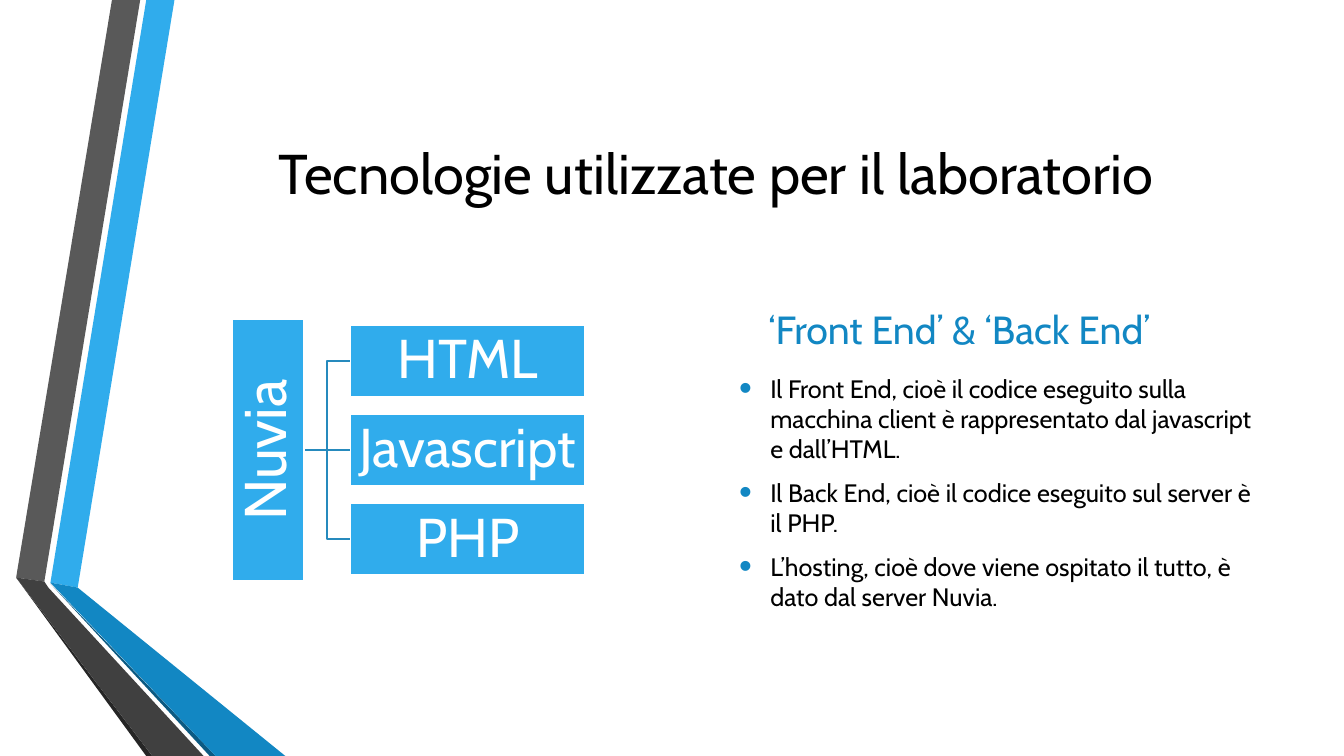
from dataclasses import dataclass

from lxml.etree import SubElement
from pptx import Presentation
from pptx.dml.color import RGBColor
from pptx.enum.shapes import MSO_CONNECTOR, MSO_SHAPE
from pptx.enum.text import MSO_ANCHOR, MSO_AUTO_SIZE, PP_ALIGN
from pptx.oxml.ns import qn
from pptx.util import Inches, Pt

FONT = "Cabin"
BLACK = RGBColor(0x00, 0x00, 0x00)
WHITE = RGBColor(0xFF, 0xFF, 0xFF)
SKY = RGBColor(0x30, 0xAC, 0xEC)
BLUE = RGBColor(0x12, 0x87, 0xC3)
NAVY = RGBColor(0x0C, 0x5A, 0x82)
GREY = RGBColor(0x59, 0x59, 0x59)
CHARCOAL = RGBColor(0x40, 0x40, 0x40)
SOOT = RGBColor(0x26, 0x26, 0x26)
LINK = RGBColor(0x26, 0x8A, 0xBD)

RIBBONS = [
    (SKY, [(3.75, 77.07), (5.78, 77.73), (12.98, 0), (10.88, 0)]),
    (GREY, [(10.43, 0), (8.33, 0), (1.2, 76.4), (3.3, 76.93)]),
    (SOOT, [(1.2, 76.4), (10.88, 100), (11.33, 100)]),
    (NAVY, [(3.75, 77.2), (15.6, 100), (16.05, 100)]),
    (BLUE, [(3.75, 77.07), (16.05, 100), (21.23, 100), (5.78, 77.73)]),
    (CHARCOAL, [(15.15, 100), (3.6, 77.73), (3.3, 76.93), (1.2, 76.4), (11.33, 100)]),
]
HOST = "Nuvia"
LANGUAGES = ["HTML", "Javascript", "PHP"]
POINTS = [
    "Il Front End, cioè il codice eseguito sulla macchina client è rappresentato dal javascript e dall’HTML.",
    "Il Back End, cioè il codice eseguito sul server è il PHP.",
    f"L’hosting, cioè dove viene ospitato il tutto, è dato dal server {HOST}.",
]


@dataclass
class Box:
    """A rectangle whose inner areas are given as percentages of its size."""

    left: int
    top: int
    width: int
    height: int

    def point(self, across, down):
        """Return the position at the given percentages."""
        return (round(self.left + self.width * across / 100),
                round(self.top + self.height * down / 100))

    def area(self, across, down, width, height):
        """Return the inner box at the given percentages."""
        return Box(*self.point(across, down),
                   round(self.width * width / 100), round(self.height * height / 100))


def add_text(paragraph, text, size, color):
    """Add one formatted run to a paragraph."""
    run = paragraph.add_run()
    run.text = text
    run.font.name = FONT
    run.font.size = Pt(size)
    run.font.bold = False
    run.font.color.rgb = color


def place(shape, box, anchor):
    """Move a placeholder to a box and return its text frame."""
    shape.left, shape.top, shape.width, shape.height = box.left, box.top, box.width, box.height
    frame = shape.text_frame
    frame.auto_size = MSO_AUTO_SIZE.NONE
    frame.word_wrap = True
    frame.vertical_anchor = anchor
    return frame


def add_ribbons(slide, box):
    """Draw the folded ribbons along the left edge."""
    for color, corners in RIBBONS:
        points = [box.point(*corner) for corner in corners]
        builder = slide.shapes.build_freeform(*points[0])
        builder.add_line_segments(points[1:], close=True)
        ribbon = builder.convert_to_shape()
        ribbon.shadow.inherit = False
        ribbon.fill.solid()
        ribbon.fill.fore_color.rgb = color
        ribbon.line.fill.background()


def add_title(slide, box):
    """Fill the title placeholder."""
    paragraph = place(slide.shapes.title, box, MSO_ANCHOR.MIDDLE).paragraphs[0]
    paragraph.alignment = PP_ALIGN.CENTER
    add_text(paragraph, "Tecnologie utilizzate per il laboratorio", 40, BLACK)


def add_block(slide, box, text, size):
    """Add one labelled block of the diagram."""
    block = slide.shapes.add_shape(
        MSO_SHAPE.RECTANGLE, box.left, box.top, box.width, box.height)
    block.shadow.inherit = False
    block.fill.solid()
    block.fill.fore_color.rgb = SKY
    block.line.color.rgb = WHITE
    block.line.width = Pt(1.25)
    frame = block.text_frame
    frame.word_wrap = True
    frame.vertical_anchor = MSO_ANCHOR.MIDDLE
    frame.margin_left = frame.margin_right = Inches(0.03)
    frame.margin_top = frame.margin_bottom = Inches(0.03)
    paragraph = frame.paragraphs[0]
    paragraph.alignment = PP_ALIGN.CENTER
    paragraph.line_spacing = 0.9
    add_text(paragraph, text, size, WHITE)
    return block


def add_link(slide, start, end):
    """Connect the host block to a language block."""
    kind = MSO_CONNECTOR.STRAIGHT if start[1] == end[1] else MSO_CONNECTOR.ELBOW
    link = slide.shapes.add_connector(kind, *start, *end)
    link.line.color.rgb = LINK
    link.line.width = Pt(1.25)
    SubElement(link._element.spPr, qn("a:effectLst"))


def add_diagram(slide, box):
    """Draw the host block branching into the language blocks."""
    stem_share, branch_left, branch_height, pitch = 20.3, 33.6, 27.3, 34.04
    middle = (len(LANGUAGES) - 1) / 2
    centers = [50 + (row - middle) * pitch for row in range(len(LANGUAGES))]
    for center in centers:
        add_link(slide, box.point(stem_share, 50), box.point(branch_left, center))

    thickness = round(box.width * stem_share / 100)
    center_x, center_y = box.point(stem_share / 2, 50)
    stem = Box(center_x - box.height // 2, center_y - thickness // 2, box.height, thickness)
    add_block(slide, stem, HOST, 42).rotation = 270

    for language, center in zip(LANGUAGES, centers):
        branch = box.area(branch_left, center - branch_height / 2,
                          100 - branch_left, branch_height)
        add_block(slide, branch, language, 39)


def add_bullet(paragraph):
    """Give a paragraph a hanging coloured bullet."""
    properties = paragraph._p.get_or_add_pPr()
    properties.set("marL", str(Inches(0.31)))
    properties.set("indent", str(Inches(-0.31)))
    color = SubElement(properties, qn("a:buClr"))
    SubElement(color, qn("a:srgbClr"), val=str(BLUE))
    SubElement(properties, qn("a:buSzPct"), val="145000")
    SubElement(properties, qn("a:buFont"), typeface="Arial")
    SubElement(properties, qn("a:buChar"), char="•")


def add_explanation(heading, points, box):
    """Fill the heading and list placeholders on the right."""
    frame = place(heading, box.area(5.42, 0, 94.58, 18.42), MSO_ANCHOR.BOTTOM)
    frame.paragraphs[0].space_after = Pt(6)
    add_text(frame.paragraphs[0], "‘Front End’ & ‘Back End’", 28, BLUE)

    frame = place(points, box.area(0, 21.35, 100, 78.65), MSO_ANCHOR.TOP)
    for index, text in enumerate(POINTS):
        paragraph = frame.add_paragraph() if index else frame.paragraphs[0]
        paragraph.space_after = Pt(6)
        add_bullet(paragraph)
        add_text(paragraph, text, 18, BLACK)


def main():
    """Build the slide and save it."""
    presentation = Presentation()
    presentation.slide_width = Inches(13.33)
    presentation.slide_height = Inches(7.5)
    slide = presentation.slides.add_slide(
        presentation.slide_layouts.get_by_name("Comparison"))
    placeholders = {shape.placeholder_format.idx: shape for shape in slide.placeholders}
    for unused in (1, 2):
        element = placeholders[unused]._element
        element.getparent().remove(element)

    page = Box(0, 0, presentation.slide_width, presentation.slide_height)
    add_ribbons(slide, page)
    add_title(slide, page.area(12.15, 10, 82.22, 25.6))
    add_diagram(slide, page.area(17.27, 42.2, 26.24, 34.67))
    add_explanation(placeholders[3], placeholders[4], page.area(54.24, 38.93, 40.14, 45.6))
    presentation.save("out.pptx")


if __name__ == "__main__":
    main()
